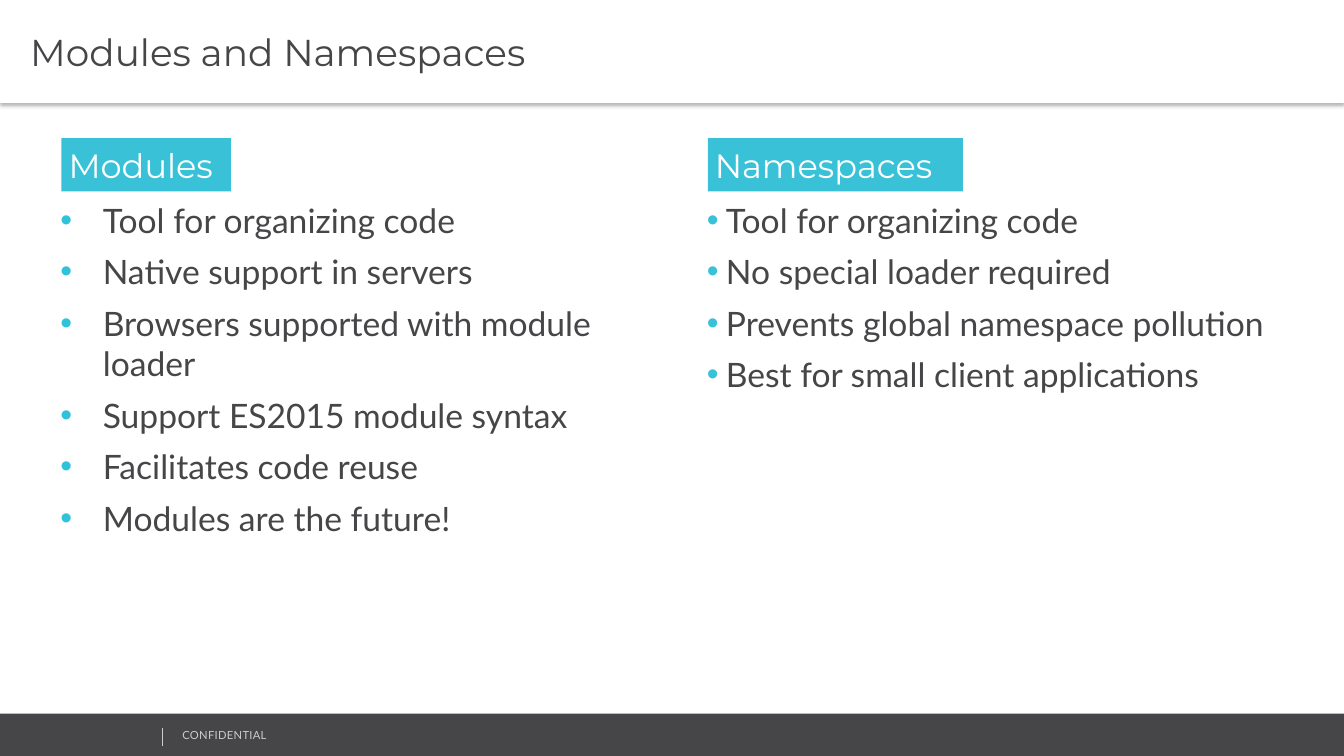
from lxml.etree import SubElement
from pptx import Presentation
from pptx.dml.color import RGBColor
from pptx.enum.shapes import MSO_CONNECTOR, MSO_SHAPE
from pptx.enum.text import MSO_ANCHOR, MSO_AUTO_SIZE, PP_ALIGN
from pptx.oxml.ns import qn
from pptx.util import Inches, Pt

WHITE = RGBColor(0xFF, 0xFF, 0xFF)
CHARCOAL = RGBColor(0x46, 0x45, 0x47)
SILVER = RGBColor(0xCC, 0xCC, 0xCC)
TEAL = RGBColor(0x39, 0xC2, 0xD7)
BRIGHT_TEAL = RGBColor(0x2F, 0xC2, 0xD9)

TITLE = "Modules and Namespaces"
FOOTER = "CONFIDENTIAL"
COLUMNS = [
    {"heading": "Modules", "left": 0.61, "heading_width": 1.68,
     "list_width": 5.95, "indent": 0.42, "bullet": BRIGHT_TEAL,
     "points": ["Tool for organizing code", "Native support in servers",
                "Browsers supported with module loader",
                "Support ES2015 module syntax", "Facilitates code reuse",
                "Modules are the future!"]},
    {"heading": "Namespaces", "left": 7.02, "heading_width": 2.53,
     "list_width": 5.73, "indent": 0.19, "bullet": TEAL,
     "points": ["Tool for organizing code", "No special loader required",
                "Prevents global namespace pollution",
                "Best for small client applications"]},
]
INSET = 0.07
LIST_OFFSET = 0.08


def write(shape, lines, font="Lato", size=24, color=CHARCOAL, anchor=MSO_ANCHOR.TOP,
          margins=(INSET, 0.04), before=0, after=0, indent=0, bullet=None, spacing=None):
    """Fill a shape with one formatted paragraph per line."""
    frame = shape.text_frame
    frame.text = "\n".join(lines)
    frame.word_wrap = True
    frame.auto_size = MSO_AUTO_SIZE.NONE
    frame.vertical_anchor = anchor
    frame.margin_left, frame.margin_right = Inches(margins[0]), Inches(INSET)
    frame.margin_top = frame.margin_bottom = Inches(margins[1])
    for paragraph in frame.paragraphs:
        paragraph.alignment = PP_ALIGN.LEFT
        paragraph.space_before, paragraph.space_after = Pt(before), Pt(after)
        run = paragraph.runs[0]
        run.font.name, run.font.size = font, Pt(size)
        run.font.color.rgb = color
        if spacing:
            run.font._element.set("spc", str(spacing))
        if bullet:
            properties = paragraph._p.get_or_add_pPr()
            properties.set("marL", str(Inches(indent)))
            properties.set("indent", str(-Inches(indent)))
            tint = SubElement(properties, qn("a:buClr"))
            SubElement(tint, qn("a:srgbClr"), val=str(bullet))
            SubElement(properties, qn("a:buFont"), typeface="Arial")
            SubElement(properties, qn("a:buChar"), char="•")


def add_bar(slide, left, top, width, height, color):
    """Add a borderless filled rectangle."""
    bar = slide.shapes.add_shape(MSO_SHAPE.RECTANGLE, Inches(left), Inches(top),
                                 Inches(width), Inches(height))
    bar.shadow.inherit = False
    bar.fill.solid()
    bar.fill.fore_color.rgb = color
    bar.line.fill.background()
    return bar


def add_footer(slide):
    """Add the dark footer with its divider and label."""
    add_bar(slide, 0, 7.08, 13.33, 0.42, CHARCOAL)
    label = slide.shapes.add_textbox(Inches(1.71), Inches(7.18), Inches(3.38), Inches(0.24))
    write(label, [FOOTER], size=8, color=SILVER, margins=(0.1, 0.05), spacing=20)
    divider = slide.shapes.add_connector(MSO_CONNECTOR.STRAIGHT, Inches(1.61), Inches(7.22),
                                         Inches(1.61), Inches(7.4))
    divider.line.color.rgb = SILVER
    divider.line.width = Pt(0.25)
    SubElement(divider._element.spPr, qn("a:effectLst"))


def add_column(slide, column):
    """Add a heading tag with its bullet list."""
    heading = add_bar(slide, column["left"], 1.37, column["heading_width"], 0.53, TEAL)
    write(heading, [column["heading"]], font="Montserrat", color=WHITE,
          anchor=MSO_ANCHOR.MIDDLE, margins=(INSET, 0.06))
    points = slide.shapes.add_textbox(Inches(column["left"] - LIST_OFFSET), Inches(1.94),
                                      Inches(column["list_width"]), Inches(4))
    write(points, column["points"], after=8, indent=column["indent"], bullet=column["bullet"])


def format_title(slide):
    """Turn the title placeholder into the shadowed top band."""
    title = slide.shapes.title
    title.left, title.top = Inches(0), Inches(0)
    title.width, title.height = Inches(13.33), Inches(1.02)
    title.fill.solid()
    title.fill.fore_color.rgb = WHITE
    write(title, [TITLE], font="Montserrat", size=26.7, anchor=MSO_ANCHOR.MIDDLE,
          margins=(0.3, 0.04), before=3)
    effects = SubElement(title._element.spPr, qn("a:effectLst"))
    shadow = SubElement(effects, qn("a:outerShdw"), blurRad=str(Pt(3.1)), dist=str(Pt(2)),
                        dir="5400000", algn="t", rotWithShape="0")
    shade = SubElement(shadow, qn("a:srgbClr"), val="000000")
    SubElement(shade, qn("a:alpha"), val="30000")


def main():
    """Build and save the slide."""
    presentation = Presentation()
    presentation.slide_width, presentation.slide_height = Inches(13.33), Inches(7.5)
    slide = presentation.slides.add_slide(presentation.slide_layouts[5])
    add_footer(slide)
    for column in COLUMNS:
        add_column(slide, column)
    format_title(slide)
    presentation.save("out.pptx")


if __name__ == "__main__":
    main()
